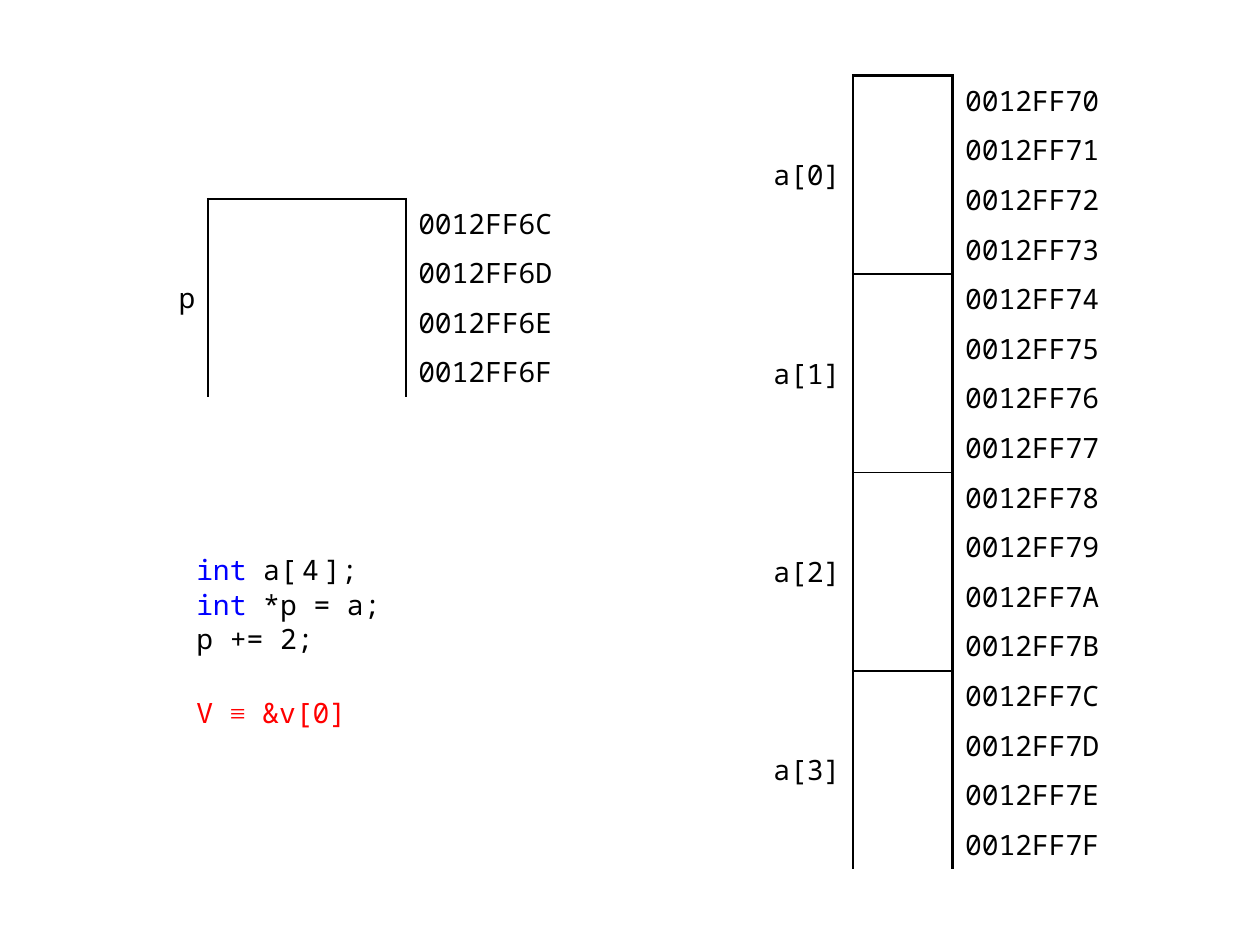
from dataclasses import dataclass
from lxml import etree
from pptx import Presentation
from pptx.dml.color import RGBColor
from pptx.enum.text import MSO_ANCHOR, PP_ALIGN
from pptx.oxml.ns import qn
from pptx.util import Inches, Pt

MIDDLE = MSO_ANCHOR.MIDDLE
RIGHT = PP_ALIGN.RIGHT
HUES = {"ink": "000000", "key": "0000FF", "note": "FF0000"}
MONO = "Noto Sans Mono"
SERIF = "Times New Roman"
SIDES = ("L", "R", "T", "B")
SPAN = 4
THIN, THICK = 1, 1.5


@dataclass
class Block:
    left: float
    top: float
    high: float
    cols: tuple[float, ...]
    names: tuple[str, ...]
    start: int


@dataclass
class Part:
    text: str
    hue: str = "ink"
    font: str = MONO
    gap: int = 0


BLOCKS = [
    Block(5.98, 0.6, 6.3, (0.79, 0.79, 1.38),
          tuple(f"a[{i}]" for i in range(4)), 0x12FF70),
    Block(0.67, 1.58, 1.57, (0.98, 1.57, 1.57), ("p",), 0x12FF6C),
]
CODE = [
    (0.5, [Part("int", "key"), Part(" a"), Part("[4", gap=300), Part("];")]),
    (0.5, [Part("int", "key"), Part(" *p = a;")]),
    (0.5, [Part("p += 2;")]),
    (23, [Part("V ", "note"), Part("≡", "note", SERIF), Part(" &v[0]", "note")]),
]


def style(run, hue: str = "ink", face: str = MONO) -> None:
    run.font.size = Pt(16)
    run.font.name = face
    run.font.color.rgb = RGBColor.from_string(HUES[hue])


def edge(cell, lines: dict[str, float]) -> None:
    props = cell._tc.get_or_add_tcPr()
    for side in SIDES:
        line = etree.SubElement(props, qn(f"a:ln{side}"))
        if side in lines:
            line.set("w", str(Pt(lines[side])))
            fill = etree.SubElement(line, qn("a:solidFill"))
            etree.SubElement(fill, qn("a:srgbClr"), val=HUES["ink"])
        else:
            etree.SubElement(line, qn("a:noFill"))
    cell.fill.background()


def label(cell, text: str) -> None:
    cell.text_frame.text = text
    for run in cell.text_frame.paragraphs[0].runs:
        style(run)


def draw_block(slide, block: Block) -> None:
    count = SPAN * len(block.names)
    frame = slide.shapes.add_table(
        count, len(block.cols), Inches(block.left), Inches(block.top),
        Inches(sum(block.cols)), Inches(block.high))
    table = frame.table
    table.first_row = False
    table.horz_banding = False
    for col, wide in zip(table.columns, block.cols):
        col.width = Inches(wide)
    for i, row in enumerate(table.rows):
        row.height = Inches(block.high / count)
        box = {"L": THICK, "R": THICK}
        if i % SPAN == 0:
            box["T"] = THIN if i else THICK
        if i % SPAN == SPAN - 1:
            box["B"] = THIN if i < count - 1 else THICK
        for cell, lines in zip(row.cells, ({"R": THICK}, box, {"L": THICK})):
            edge(cell, lines)
            cell.vertical_anchor = MIDDLE
            cell.margin_top = cell.margin_bottom = Inches(0.02)
        label(table.cell(i, 2), f"{block.start + i:08X}")
    for i, name in enumerate(block.names):
        first, last = i * SPAN, (i + 1) * SPAN - 1
        for col in (0, 1):
            table.cell(first, col).merge(table.cell(last, col))
        cell = table.cell(first, 0)
        label(cell, name)
        cell.text_frame.paragraphs[0].alignment = RIGHT


def draw_code(slide) -> None:
    box = slide.shapes.add_textbox(
        Inches(1.46), Inches(4.34), Inches(1.77), Inches(1.77))
    frame = box.text_frame
    frame.word_wrap = True
    for i, (space, parts) in enumerate(CODE):
        para = frame.add_paragraph() if i else frame.paragraphs[0]
        para.space_before = Pt(space)
        for part in parts:
            run = para.add_run()
            run.text = part.text
            style(run, part.hue, part.font)
            if part.gap:
                run.font._element.set("spc", str(part.gap))


def main() -> None:
    deck = Presentation()
    deck.slide_width = Inches(10)
    deck.slide_height = Inches(7.5)
    slide = deck.slides.add_slide(deck.slide_layouts[6])
    draw_code(slide)
    for block in BLOCKS:
        draw_block(slide, block)
    deck.save("out.pptx")


if __name__ == "__main__":
    main()
